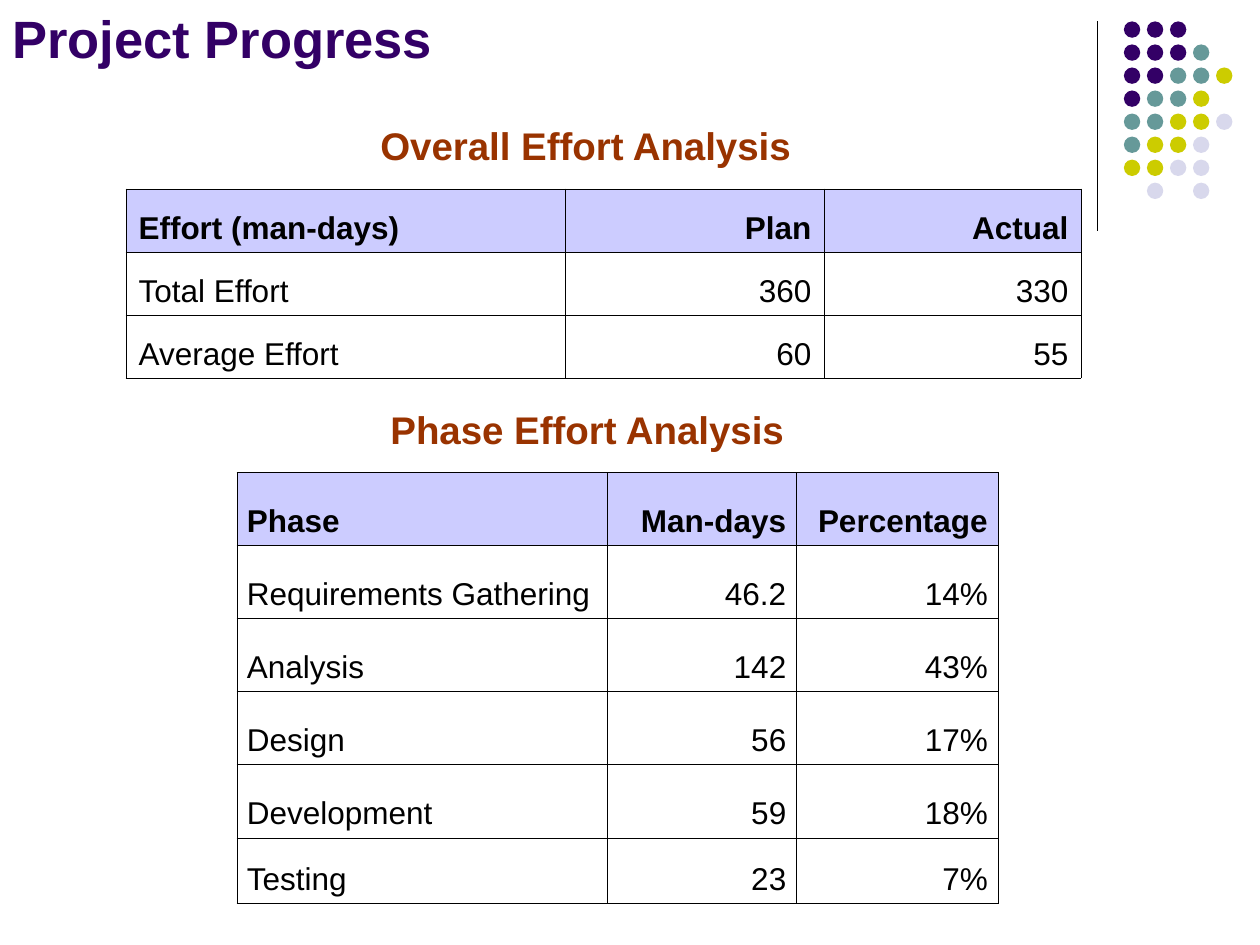
from lxml import etree
from pptx import Presentation
from pptx.dml.color import RGBColor
from pptx.enum.shapes import MSO_CONNECTOR, MSO_SHAPE
from pptx.enum.text import MSO_ANCHOR, PP_ALIGN
from pptx.oxml.ns import qn
from pptx.util import Inches, Pt

BOTTOM = MSO_ANCHOR.BOTTOM
LEFT, RIGHT = PP_ALIGN.LEFT, PP_ALIGN.RIGHT
OVAL = MSO_SHAPE.OVAL
STRAIGHT = MSO_CONNECTOR.STRAIGHT

BLACK = "000000"
HEADER_FILL = "CCCCFF"
BORDER_WIDTH = 0.45

TITLE_FORMAT = {"size": Pt(30), "bold": True, "color": "330066"}
HEADING_FORMAT = {"size": Pt(22), "bold": True, "color": "993300"}
HEADER_FORMAT = {"size": Pt(18), "bold": True, "color": BLACK}
BODY_FORMAT = {"size": Pt(18), "bold": False, "color": BLACK}

TEXTS = [
    ("Project Progress", (0, 0, 4.67, 0.6), TITLE_FORMAT),
    ("Overall Effort Analysis", (2.92, 0.92, 4.67, 0.47), HEADING_FORMAT),
    ("Phase Effort Analysis", (3, 3.17, 3.42, 0.47), HEADING_FORMAT),
]

TABLES = [
    {
        "left": 1, "top": 1.5, "margin": 0.1,
        "columns": [3.49, 2.05, 2.04],
        "heights": [0.5] * 3,
        "rows": [
            ("Effort (man-days)", "Plan", "Actual"),
            ("Total Effort", "360", "330"),
            ("Average Effort", "60", "55"),
        ],
    },
    {
        "left": 1.88, "top": 3.75, "margin": 0.08,
        "columns": [2.94, 1.5, 1.6],
        "heights": [0.58] * 5 + [0.52],
        "rows": [
            ("Phase", "Man-days", "Percentage"),
            ("Requirements Gathering", "46.2", "14%"),
            ("Analysis", "142", "43%"),
            ("Design", "56", "17%"),
            ("Development", "59", "18%"),
            ("Testing", "23", "7%"),
        ],
    },
]

DOT_COLORS = {"P": "330066", "T": "669999", "Y": "CCCC00", "L": "D8D8EC"}
DOT_ROWS = ["PPP", "PPPT", "PPTTY", "PTTY", "TTYYL", "TYYL", "YYLL", " L L"]
DOT_LEFT, DOT_TOP = 8.92, 0.17
DOT_SIZE = 0.13
DOT_PITCH = 1.28 / 7


def color(value):
    return RGBColor.from_string(value)


def write(frame, text, text_format, alignment=LEFT):
    paragraph = frame.paragraphs[0]
    paragraph.alignment = alignment
    run = paragraph.add_run()
    run.text = text
    run.font.name = "Arial"
    for name, value in text_format.items():
        if name == "color":
            run.font.color.rgb = color(value)
        else:
            setattr(run.font, name, value)


def add_text(slide, text, box, text_format):
    shape = slide.shapes.add_textbox(*map(Inches, box))
    shape.text_frame.word_wrap = True
    write(shape.text_frame, text, text_format)


def add_borders(cell):
    properties = cell._tc.get_or_add_tcPr()
    for position, side in enumerate(("lnL", "lnR", "lnT", "lnB")):
        line = etree.Element(qn(f"a:{side}"), w=str(Pt(BORDER_WIDTH)))
        fill = etree.SubElement(line, qn("a:solidFill"))
        etree.SubElement(fill, qn("a:srgbClr"), val=BLACK)
        properties.insert(position, line)


def add_table(slide, data):
    rows, columns, heights = data["rows"], data["columns"], data["heights"]
    box = data["left"], data["top"], sum(columns), sum(heights)
    table = slide.shapes.add_table(len(rows), len(columns), *map(Inches, box)).table
    for column, width in zip(table.columns, columns):
        column.width = Inches(width)
    for row_index, values in enumerate(rows):
        table.rows[row_index].height = Inches(heights[row_index])
        for column_index, value in enumerate(values):
            cell = table.cell(row_index, column_index)
            cell.vertical_anchor = BOTTOM
            cell.margin_left = cell.margin_right = Inches(data["margin"])
            if row_index == 0:
                cell.fill.solid()
                cell.fill.fore_color.rgb = color(HEADER_FILL)
            else:
                cell.fill.background()
            add_borders(cell)
            write(
                cell.text_frame, value,
                BODY_FORMAT if row_index else HEADER_FORMAT,
                RIGHT if column_index else LEFT,
            )


def add_dots(slide):
    for row_index, row in enumerate(DOT_ROWS):
        for column_index, key in enumerate(row):
            if key == " ":
                continue
            left = DOT_LEFT + column_index * DOT_PITCH
            top = DOT_TOP + row_index * DOT_PITCH
            dot = slide.shapes.add_shape(OVAL, *map(Inches, (left, top, DOT_SIZE, DOT_SIZE)))
            dot.shadow.inherit = False
            dot.fill.solid()
            dot.fill.fore_color.rgb = color(DOT_COLORS[key])
            dot.line.fill.background()


def add_divider(slide):
    divider = slide.shapes.add_connector(STRAIGHT, *map(Inches, (8.71, 0.17, 8.71, 1.83)))
    divider.line.color.rgb = color(BLACK)
    divider.line.width = Pt(0.75)
    etree.SubElement(divider._element.spPr, qn("a:effectLst"))


def main():
    presentation = Presentation()
    presentation.slide_width, presentation.slide_height = Inches(10), Inches(7.5)
    slide = presentation.slides.add_slide(presentation.slide_layouts[6])
    add_divider(slide)
    add_dots(slide)
    for text, box, text_format in TEXTS:
        add_text(slide, text, box, text_format)
    for data in TABLES:
        add_table(slide, data)
    presentation.save("out.pptx")


if __name__ == "__main__":
    main()
